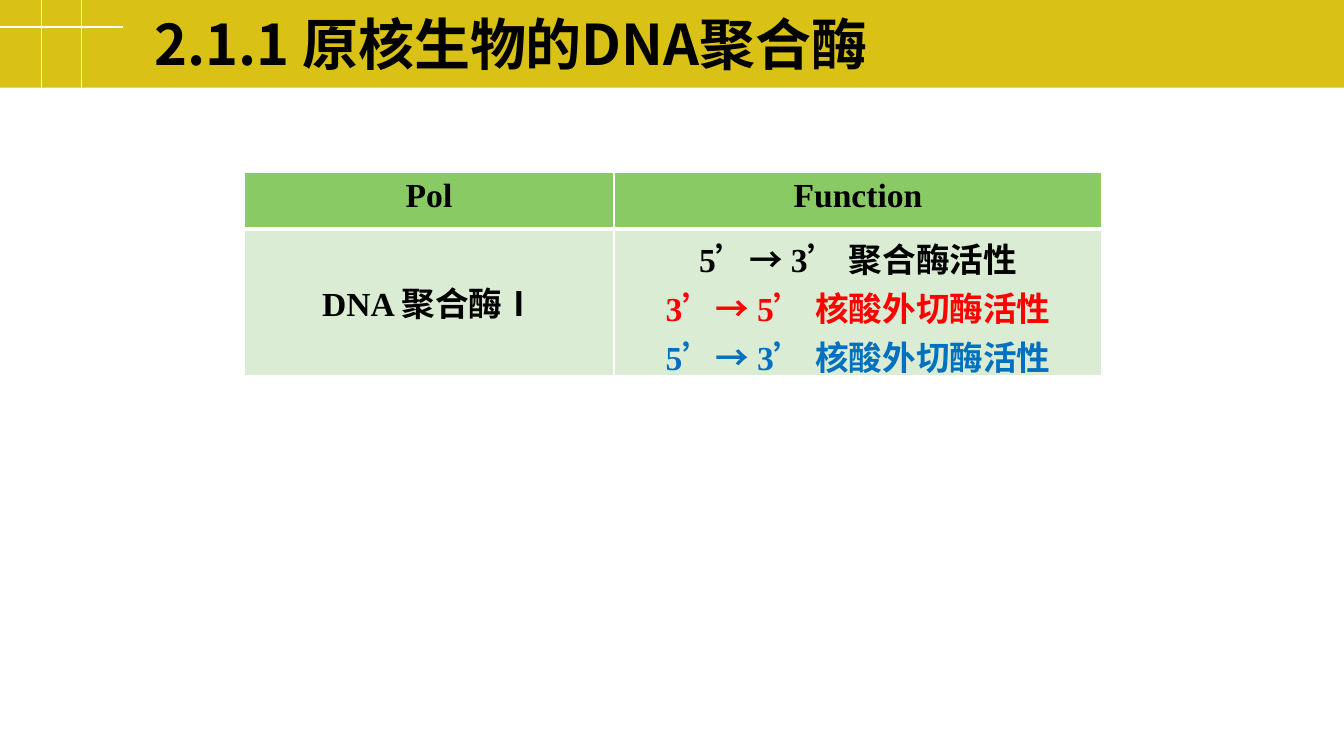
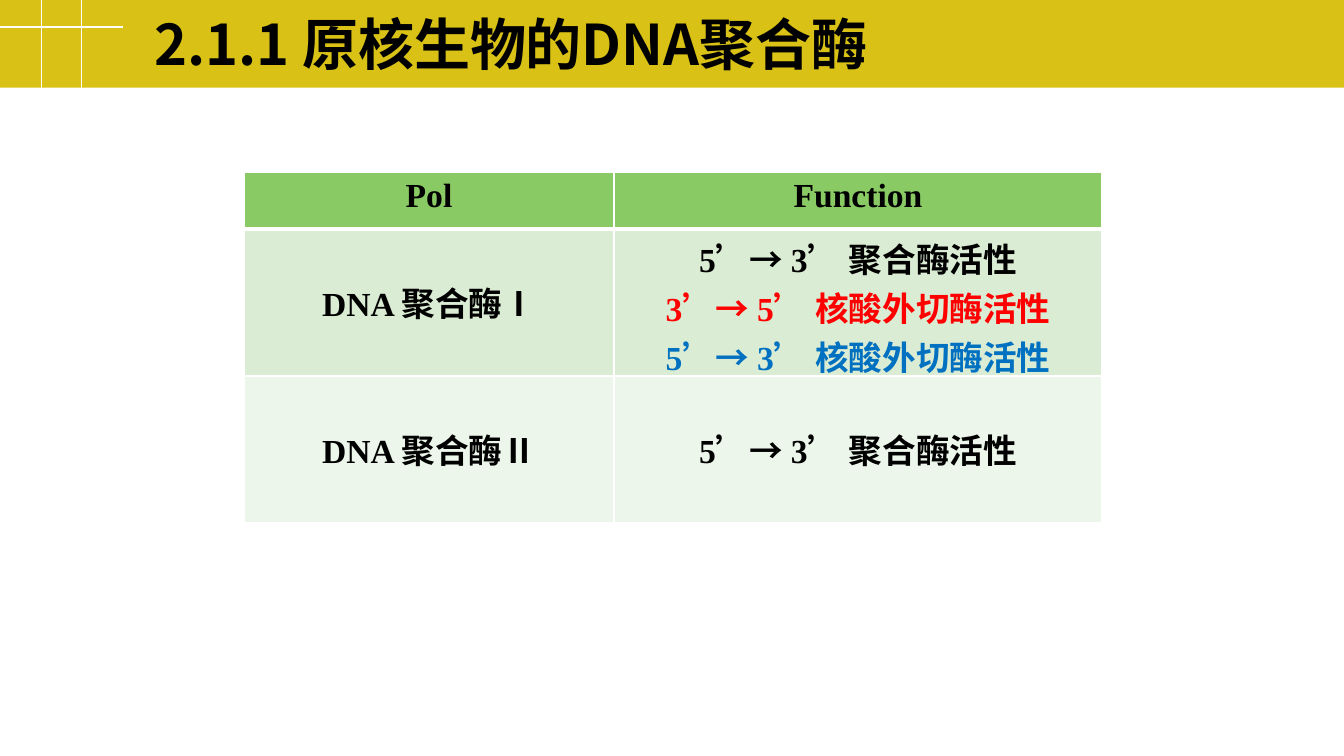
import pptx
import pptx.util
import pptx.dml.color
import pptx.enum.dml
import pptx.enum.lang
import pptx.enum.shapes
import pptx.enum.text
import pptx.oxml
import pptx.oxml.ns

Inches = pptx.util.Inches
Pt = pptx.util.Pt
ANCHOR = pptx.enum.text.MSO_ANCHOR

TITLE = "2.1.1 原核生物的DNA聚合酶"
SANS, SERIF = "Noto Sans CJK SC", "Times New Roman"
COLORS = {
    "band": "D9C215", "white": "FFFFFF", "black": "000000",
    "red": "FF0000", "blue": "0070C0",
    "head": "89CA64", "odd": "DAECD3", "even": "EDF6EA",
}
HEAD = {"cells": [[("Pol", "black")], [("Function", "black")]],
        "high": 0.56, "fill": "head", "anchors": [ANCHOR.TOP, ANCHOR.TOP]}
POL_1 = {"cells": [[("DNA 聚合酶Ⅰ", "black")],
                   [("5’→ 3’ 聚合酶活性", "black"),
                    ("3’→ 5’ 核酸外切酶活性", "red"),
                    ("5’→ 3’ 核酸外切酶活性", "blue")]],
         "high": 1.46, "fill": "odd", "anchors": [ANCHOR.MIDDLE, ANCHOR.TOP]}
POL_2 = {"cells": [[("DNA 聚合酶Ⅱ", "black")], [("5’→ 3’ 聚合酶活性", "black")]],
         "high": 1.45, "fill": "even", "anchors": [ANCHOR.MIDDLE, ANCHOR.MIDDLE]}
SLIDES = [[HEAD, POL_1], [HEAD, POL_1, POL_2]]
WIDTHS = [3.67, 4.84]
LINES = [(0.81, 0, 0.81, 0.87), (0, 0.27, 1.22, 0.27), (0.41, 0, 0.41, 0.87)]


def color(name):
    return pptx.dml.color.RGBColor.from_string(COLORS[name])


def style(para, face, size, tint):
    font = para.font
    font.name, font.size, font.bold = face, Pt(size), True
    font.color.rgb = color(tint)
    font.language_id = pptx.enum.lang.MSO_LANGUAGE_ID.SIMPLIFIED_CHINESE
    latin = para._p.pPr.find(".//" + pptx.oxml.ns.qn("a:latin"))
    latin.addnext(pptx.oxml.parse_xml(
        f'<a:ea {pptx.oxml.ns.nsdecls("a")} typeface="{SANS}"/>'))


def border(cell, top, bottom):
    props = cell._tc.get_or_add_tcPr()
    for side, width in zip("LRTB", (1, 1, top, bottom)):
        props.append(pptx.oxml.parse_xml(
            f'<a:ln{side} {pptx.oxml.ns.nsdecls("a")} w="{Pt(width)}"><a:solidFill>'
            f'<a:srgbClr val="{COLORS["white"]}"/></a:solidFill></a:ln{side}>'))


def add_head(slide):
    band = slide.shapes.add_shape(
        pptx.enum.shapes.MSO_SHAPE.RECTANGLE, 0, 0, Inches(13.33), Inches(0.87))
    band.shadow.inherit = False
    band.fill.solid()
    band.fill.fore_color.rgb = color("band")
    band.line.fill.background()
    for ends in LINES:
        line = slide.shapes.add_connector(
            pptx.enum.shapes.MSO_CONNECTOR.STRAIGHT, *map(Inches, ends))
        line.line.color.rgb = color("white")
        line.line.width = Pt(1)
        line._element.spPr.append(pptx.oxml.parse_xml(
            f'<a:effectLst {pptx.oxml.ns.nsdecls("a")}/>'))
    box = slide.shapes.add_textbox(
        Inches(1.43), Inches(0.16), Inches(10.33), Inches(0.53))
    frame = box.text_frame
    frame.word_wrap = True
    frame.vertical_anchor = ANCHOR.MIDDLE
    frame.text = TITLE
    style(frame.paragraphs[0], SANS, 40, "black")


def fill_cell(cell, items, anchor, fill):
    cell.vertical_anchor = anchor
    cell.fill.solid()
    cell.fill.fore_color.rgb = color(fill)
    cell.text = "\n".join(text for text, tint in items)
    for para, (text, tint) in zip(cell.text_frame.paragraphs, items):
        para.alignment = pptx.enum.text.PP_ALIGN.CENTER
        style(para, SERIF, 24, tint)


def add_grid(slide, rows):
    high = sum(row["high"] for row in rows)
    grid = slide.shapes.add_table(
        len(rows), len(WIDTHS), Inches(2.42), Inches(1.71),
        Inches(sum(WIDTHS)), Inches(high)).table
    for col, width in zip(grid.columns, WIDTHS):
        col.width = Inches(width)
    for r, row in enumerate(rows):
        grid.rows[r].height = Inches(row["high"])
        for c, items in enumerate(row["cells"]):
            cell = grid.cell(r, c)
            border(cell, 3 if r == 1 else 1, 3 if r == 0 else 1)
            fill_cell(cell, items, row["anchors"][c], row["fill"])


def main():
    deck = pptx.Presentation()
    deck.slide_width, deck.slide_height = Inches(13.33), Inches(7.5)
    for rows in SLIDES:
        slide = deck.slides.add_slide(deck.slide_layouts[6])
        add_head(slide)
        add_grid(slide, rows)
    deck.save("out.pptx")


if __name__ == "__main__":
    main()
